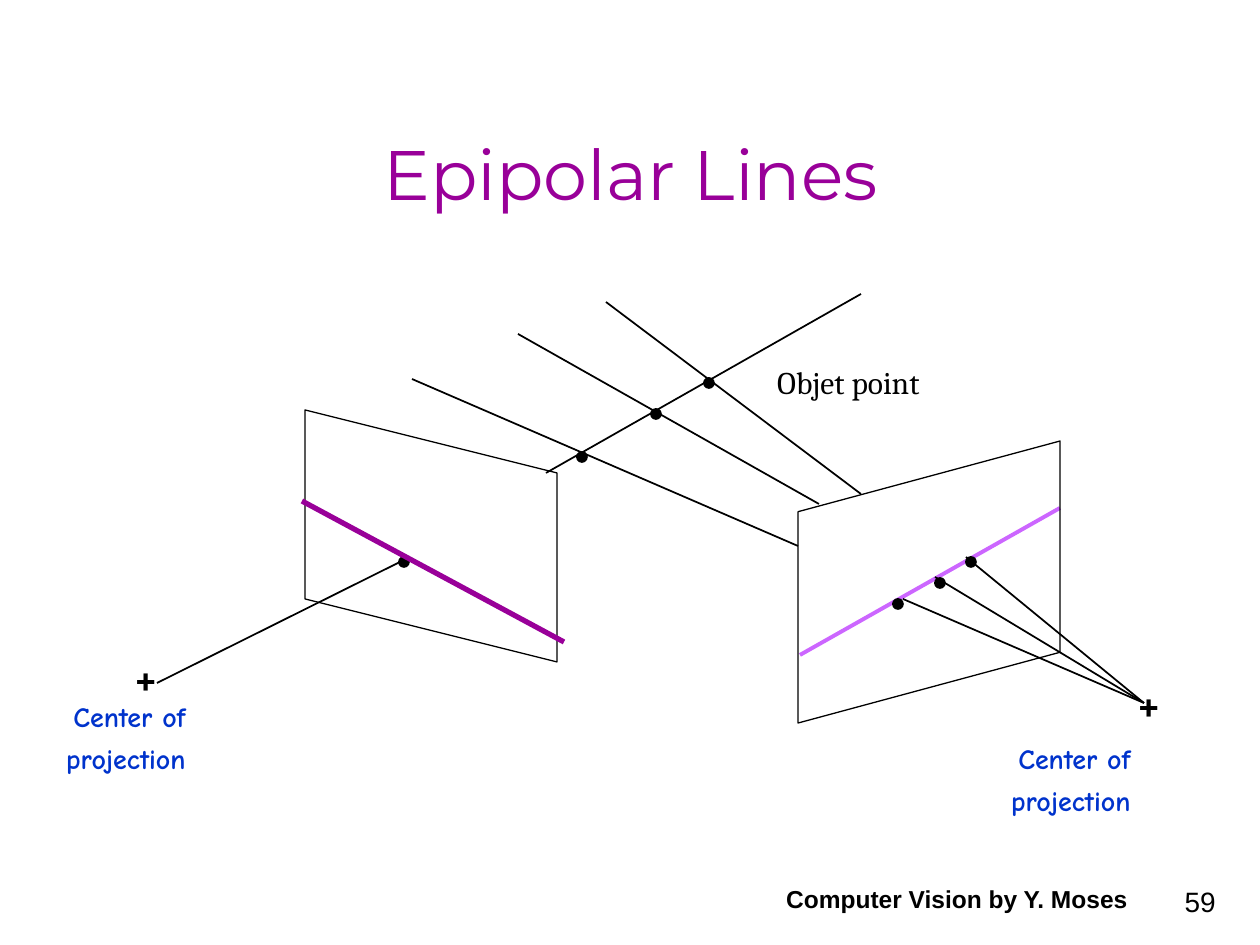
from lxml.etree import SubElement
from pptx import Presentation
from pptx.dml.color import RGBColor
from pptx.enum.shapes import MSO_CONNECTOR, MSO_SHAPE
from pptx.enum.text import MSO_ANCHOR, PP_ALIGN
from pptx.oxml.ns import qn
from pptx.util import Pt

PX = 914400 // 126
BLACK, PURPLE, LILAC, BLUE = "000000", "990099", "CC66FF", "0033CC"


def px(*lengths):
    return [n * PX for n in lengths]


def rgb(value):
    return RGBColor.from_string(value)


def format_paragraph(p, size, font, color, align, bold=False):
    p.alignment = align
    p.font.size, p.font.name, p.font.bold = Pt(size), font, bold
    p.font.color.rgb = rgb(color)


def add_text(s, box, lines, size, font, color=BLACK, align=PP_ALIGN.RIGHT,
             bold=False, anchor=MSO_ANCHOR.TOP, gap=0):
    tf = s.shapes.add_textbox(*px(*box)).text_frame
    tf.word_wrap = True
    tf.vertical_anchor = anchor
    for i, line in enumerate(lines):
        p = tf.add_paragraph() if i else tf.paragraphs[0]
        p.text = line
        format_paragraph(p, size, font, color, align, bold)
        if i:
            p.space_before = Pt(gap)


def add_line(s, start, end, color=BLACK, width=1):
    line = s.shapes.add_connector(MSO_CONNECTOR.STRAIGHT, *px(*start, *end))
    line.line.color.rgb = rgb(color)
    line.line.width = Pt(width)
    SubElement(line._element.spPr, qn("a:effectLst"))


def add_dot(s, x, y):
    sp = s.shapes.add_shape(MSO_SHAPE.OVAL, *px(x - 5, y - 5, 10, 10))
    sp.shadow.inherit = False
    sp.fill.solid()
    sp.fill.fore_color.rgb = rgb(BLACK)
    sp.line.color.rgb = rgb(BLACK)
    sp.line.width = Pt(1)


def add_image_plane(s, box, rotation, slant, mirrored=False):
    """Draw a parallelogram; box is its frame before rotation."""
    sp = s.shapes.add_shape(MSO_SHAPE.PARALLELOGRAM, *px(*box))
    sp.adjustments[0] = slant
    sp.rotation = rotation
    if mirrored:
        sp._element.spPr.find(qn("a:xfrm")).set("flipH", "1")
    sp.shadow.inherit = False
    sp.fill.background()
    sp.line.color.rgb = rgb(BLACK)
    sp.line.width = Pt(0.75)


def add_projection_center(s, plus_box, label_box):
    add_text(s, plus_box, ["+"], 24, "Cambria", align=PP_ALIGN.CENTER, bold=True)
    add_text(s, label_box, ["Center of", "projection"], 16, "Comic Neue", BLUE,
             bold=True, gap=5)


def add_title(s, box):
    title = s.shapes.title
    title.left, title.top, title.width, title.height = px(*box)
    title.text_frame.text = "Epipolar Lines"
    title.text_frame.vertical_anchor = MSO_ANCHOR.BOTTOM
    format_paragraph(title.text_frame.paragraphs[0], 40, "Montserrat", PURPLE,
                     PP_ALIGN.CENTER)


def add_left_camera(s):
    add_image_plane(s, (305, 410, 252, 252), 90, 0.25)
    add_line(s, (157, 683), (410, 557))
    add_dot(s, 404, 562)
    add_line(s, (302, 501), (564, 642), PURPLE, 3)
    add_projection_center(s, (121, 646, 49, 63), (18, 693, 180, 88))


def add_right_camera(s):
    add_line(s, (1060, 508), (800, 655), LILAC, 2.25)
    add_image_plane(s, (788, 451, 282, 262), 270, 0.27, mirrored=True)
    for ray_end, dot in (((966, 557), (971, 562)),
                         ((935, 577), (940, 583)),
                         ((903, 599), (898, 604))):
        add_line(s, (1144, 703), ray_end)
        add_dot(s, *dot)
    add_projection_center(s, (1124, 672, 49, 63), (963, 735, 180, 88))


def add_object_points(s):
    add_line(s, (546, 473), (861, 294))
    for start, end, dot in (((606, 302), (861, 494), (709, 383)),
                            ((518, 334), (819, 504), (656, 414)),
                            ((412, 379), (798, 546), (582, 457))):
        add_line(s, start, end)
        add_dot(s, *dot)
    add_text(s, (732, 357, 200, 50), ["Objet point"], 18, "Cambria")


def add_footer(s):
    add_text(s, (757, 857, 400, 63), ["Computer Vision by Y. Moses"], 14, "Arial",
             align=PP_ALIGN.CENTER, bold=True, anchor=MSO_ANCHOR.BOTTOM)
    add_text(s, (966, 861, 262, 63), ["59"], 16, "Arial", anchor=MSO_ANCHOR.BOTTOM)


def main():
    prs = Presentation()
    prs.slide_width, prs.slide_height = px(1260, 945)
    s = prs.slides.add_slide(prs.slide_layouts[5])
    add_title(s, (95, 63, 1071, 158))
    add_left_camera(s)
    add_right_camera(s)
    add_object_points(s)
    add_footer(s)
    prs.save("out.pptx")


if __name__ == "__main__":
    main()
